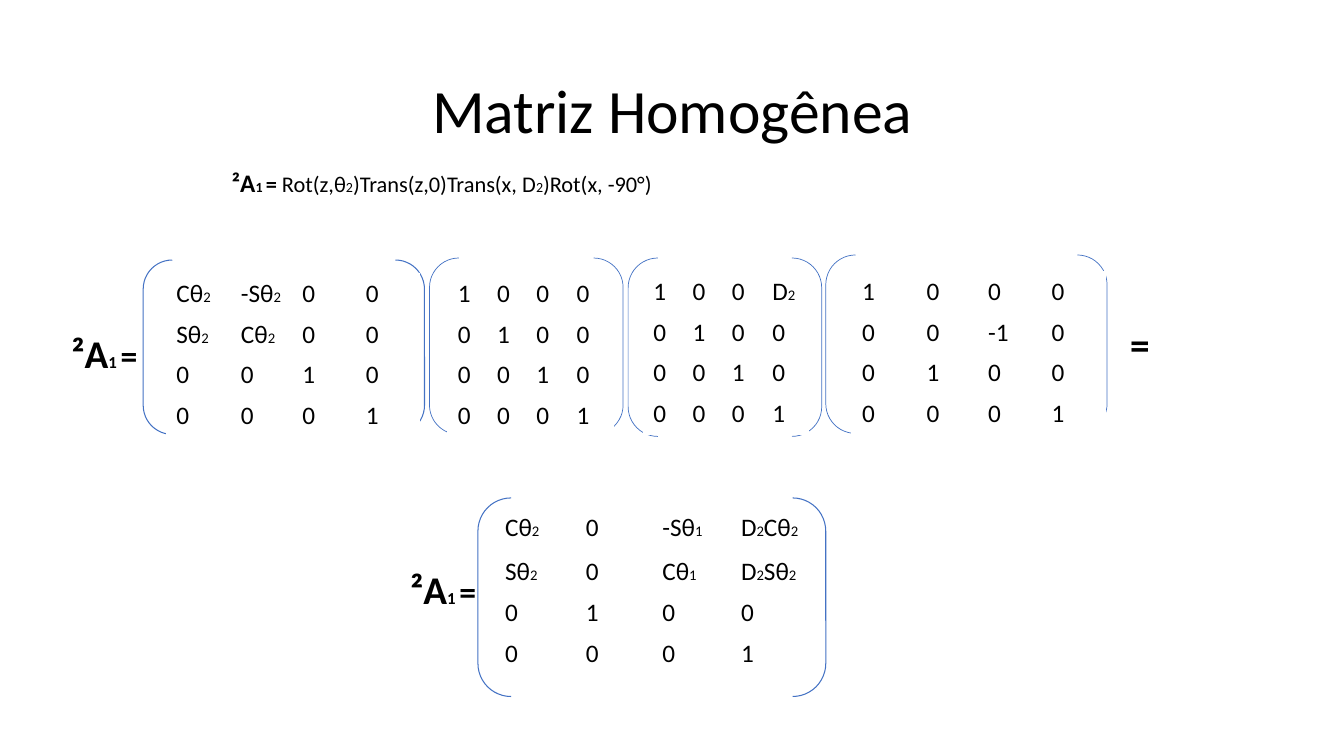
import pptx
import pptx.dml.color
import pptx.enum.shapes
import pptx.enum.text
import pptx.util
from pptx.util import Inches

BLACK = pptx.dml.color.RGBColor(0x00, 0x00, 0x00)
WHITE = pptx.dml.color.RGBColor(0xFF, 0xFF, 0xFF)
BLUE = pptx.dml.color.RGBColor(0x44, 0x72, 0xC4)
FONT = "Calibri"
CELL_SIZE, SUBSCRIPT_SIZE = 18, 10.5

# Content: runs are (text, size, bold); "_" in a matrix entry lowers the next character
TITLE = "Matriz Homogênea"
FORMULA = [
    ("²A", 18, True), ("1 ", 10, True), ("= ", 16, True), ("Rot(z,θ", 16, False),
    ("2", 10, False), (")Trans(z,0)Trans(x, D", 16, False), ("2", 10, False),
    (")Rot(x, -90°) ", 16, False),
]
RESULT_NAME = [("²A", 28, True), ("1 ", 12, True), ("= ", 24, True)]
EQUALS = [("=", 28, True)]

WIDE = [0.64, 0.61, 0.63, 0.63]
NARROW = [0.39, 0.39, 0.4, 0.46]
EVEN_ROWS = [0.4] * 4
MATRICES = [
    {"entries": ["Cθ_2 -Sθ_2 0 0", "Sθ_2 Cθ_2 0 0", "0 0 1 0", "0 0 0 1"],
     "bracket": (1.42, 2.58, 2.79, 1.73), "line": 0.75,
     "corner": (1.65, 2.71), "columns": WIDE, "rows": EVEN_ROWS},
    {"entries": ["1 0 0 0", "0 1 0 0", "0 0 1 0", "0 0 0 1"],
     "bracket": (4.26, 2.56, 1.92, 1.75), "line": 0.5,
     "corner": (4.44, 2.71), "columns": NARROW, "rows": EVEN_ROWS},
    {"entries": ["1 0 0 D_2", "0 1 0 0", "0 0 1 0", "0 0 0 1"],
     "bracket": (6.23, 2.56, 1.92, 1.77), "line": 0.5,
     "corner": (6.38, 2.69), "columns": NARROW, "rows": EVEN_ROWS},
    {"entries": ["1 0 0 0", "0 0 -1 0", "0 1 0 0", "0 0 0 1"],
     "bracket": (8.19, 2.53, 2.79, 1.77), "line": 0.5,
     "corner": (8.45, 2.69), "columns": WIDE, "rows": EVEN_ROWS},
    {"entries": ["Cθ_2 0 -Sθ_1 D_2Cθ_2", "Sθ_2 0 Cθ_1 D_2Sθ_2", "0 1 0 0", "0 0 0 1"],
     "bracket": (4.74, 4.94, 3.45, 1.97), "line": 0.75,
     "corner": (4.91, 5.03), "columns": [0.8, 0.76, 0.78, 0.78],
     "rows": [0.44, 0.4, 0.4, 0.4]},
]
LABELS = [
    (FORMULA, (2.2, 1.61, 9.32, 0.4), True),
    (RESULT_NAME, (0.61, 3.22, 0.94, 0.57), False),
    (EQUALS, (11.11, 3.13, 0.52, 0.57), True),
    (RESULT_NAME, (3.97, 5.56, 0.94, 0.57), False),
]


def add_runs(para, runs):
    for text, size, bold in runs:
        span = para.add_run()
        span.text = text
        span.font.color.rgb = BLACK
        style = {"name": FONT, "size": pptx.util.Pt(size), "bold": bold}
        for name, value in style.items():
            setattr(span.font, name, value)


def entry_runs(entry):
    base, *lowered = entry.split("_")
    runs = [(base, CELL_SIZE, False)]
    for part in lowered:
        runs.append((part[0], SUBSCRIPT_SIZE, False))
        if part[1:]:
            runs.append((part[1:], CELL_SIZE, False))
    return runs


def add_matrix(page, matrix):
    bracket = page.shapes.add_shape(
        pptx.enum.shapes.MSO_SHAPE.DOUBLE_BRACKET, *map(Inches, matrix["bracket"]))
    bracket.shadow.inherit = False
    bracket.fill.background()
    bracket.line.color.rgb = BLUE
    bracket.line.width = pptx.util.Pt(matrix["line"])

    columns, rows = matrix["columns"], matrix["rows"]
    frame = page.shapes.add_table(
        len(rows), len(columns), *map(Inches, matrix["corner"]),
        Inches(sum(columns)), Inches(sum(rows)))
    table = frame.table
    table.first_row = table.horz_banding = False
    for column, width in zip(table.columns, columns):
        column.width = Inches(width)
    for row, height, entries in zip(table.rows, rows, matrix["entries"]):
        row.height = Inches(height)
        for cell, entry in zip(row.cells, entries.split()):
            cell.fill.solid()
            cell.fill.fore_color.rgb = WHITE
            add_runs(cell.text_frame.paragraphs[0], entry_runs(entry))


deck = pptx.Presentation()
deck.slide_width, deck.slide_height = Inches(13.33), Inches(7.5)
page = deck.slides.add_slide(deck.slide_layouts[5])

# Title
title = page.shapes.title
title_place = {"left": 0.92, "top": 0.4, "width": 11.5, "height": 1.45}
for name, value in title_place.items():
    setattr(title, name, Inches(value))
title.text_frame.vertical_anchor = pptx.enum.text.MSO_ANCHOR.MIDDLE
para = title.text_frame.paragraphs[0]
para.alignment = pptx.enum.text.PP_ALIGN.CENTER
para.line_spacing = 0.9
add_runs(para, [(TITLE, 44, False)])

# Matrices with their brackets
for matrix in MATRICES:
    add_matrix(page, matrix)

# Formula and equation labels
for runs, place, wrap in LABELS:
    box = page.shapes.add_textbox(*map(Inches, place))
    box.text_frame.word_wrap = wrap
    box.text_frame.auto_size = pptx.enum.text.MSO_AUTO_SIZE.SHAPE_TO_FIT_TEXT
    add_runs(box.text_frame.paragraphs[0], runs)

deck.save("out.pptx")
